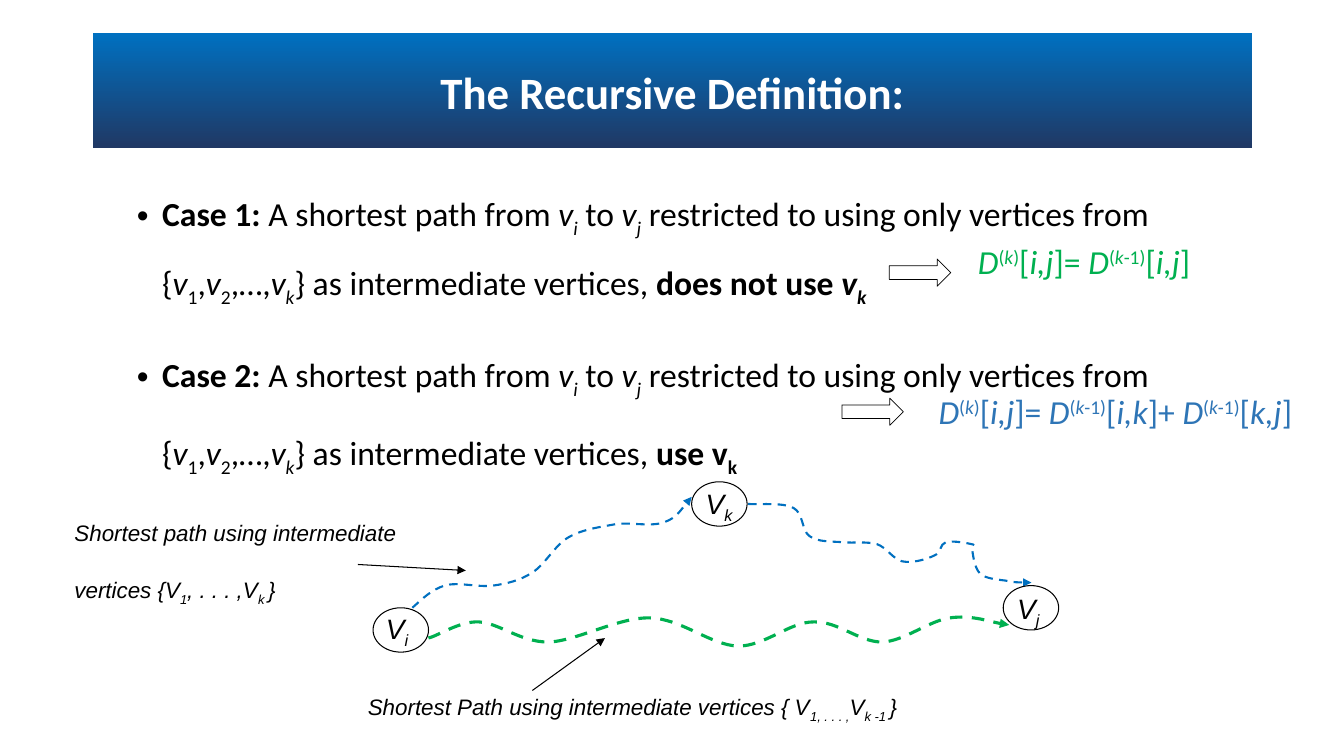
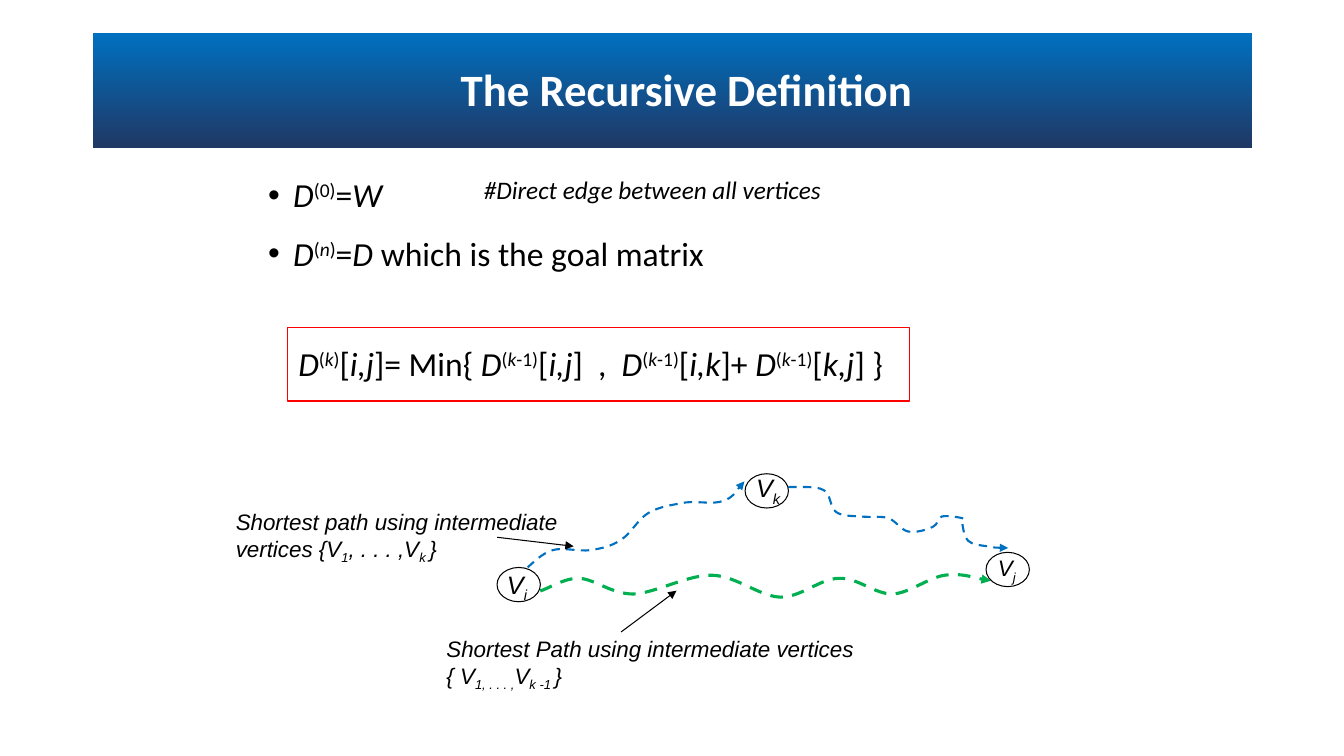
from dataclasses import dataclass

from lxml import etree
from pptx import Presentation
from pptx.dml.color import RGBColor
from pptx.enum.dml import MSO_LINE
from pptx.enum.shapes import MSO_CONNECTOR, MSO_SHAPE
from pptx.enum.text import MSO_ANCHOR, PP_ALIGN
from pptx.oxml.ns import qn
from pptx.util import Pt

PX = 9144  # 100 px to the inch
BLANK_LAYOUT = 6
STRAIGHT = MSO_CONNECTOR.STRAIGHT
DASH = MSO_LINE.DASH
RECTANGLE = MSO_SHAPE.RECTANGLE
OVAL = MSO_SHAPE.OVAL
RIGHT_ARROW = MSO_SHAPE.RIGHT_ARROW
MIDDLE = MSO_ANCHOR.MIDDLE
CENTER = PP_ALIGN.CENTER


@dataclass(frozen=True)
class Theme:
    heading: str = "Calibri"
    label: str = "Arial"
    black: str = "000000"
    white: str = "FFFFFF"
    band_top: str = "0070C0"
    band_bottom: str = "203864"
    detour: str = "0070C0"
    direct: str = "00B050"
    formula_blue: str = "2E75B6"
    red: str = "FF0000"
    title_size: int = 32
    body_size: int = 24
    node_size: int = 20
    small_node_size: int = 18
    note_size: int = 18
    label_size: int = 16


# Cubic curves: a start, then two handles and an end for each segment.
DIRECT_CURVE = [
    (425, 633), (434, 631), (456, 616), (475, 617), (495, 618), (516, 637),
    (544, 637), (572, 636), (614, 612), (645, 613), (676, 614), (705, 640),
    (732, 641), (759, 641), (783, 617), (807, 617), (831, 616), (852, 637),
    (875, 637), (897, 636), (921, 616), (942, 613), (963, 610), (989, 619),
    (1001, 620)]
CURVE_TO_K = [
    (409, 603), (419, 594), (428, 585), (441, 581), (454, 577), (474, 583),
    (489, 581), (503, 579), (516, 576), (528, 568), (541, 560), (550, 541),
    (564, 533), (578, 525), (595, 523), (611, 520), (627, 518), (646, 523),
    (659, 518), (671, 514), (681, 498), (686, 493)]
CURVE_FROM_K = [
    (742, 500), (749, 501), (777, 498), (787, 504), (797, 509), (795, 527),
    (803, 532), (811, 538), (825, 537), (836, 538), (847, 539), (860, 537),
    (870, 540), (879, 543), (886, 555), (895, 557), (905, 559), (919, 555),
    (927, 551), (934, 548), (932, 540), (938, 538), (945, 536), (960, 539),
    (964, 540), (968, 541), (963, 539), (964, 544), (965, 549), (966, 563),
    (972, 569), (977, 574), (989, 575), (997, 576), (1006, 578), (1018, 578),
    (1023, 578)]

# Marks in text: * bold, / italic, _ subscript, ^ superscript.
MARKS = "*/_^"
DETOUR_LABEL = "/Shortest path using intermediate \nvertices {V_1_, . . . ,V_k _}/"
DIRECT_LABEL = "/Shortest Path using intermediate vertices { V_1, . . . ,_V_k -1 _}/"


def case_text(number, ending):
    return (f"*Case {number}:* A shortest path from /v_i_/ to /v_j_/ restricted to "
            "using only vertices from {/v/_1_,/v/_2_,…,/v_k_/} as intermediate "
            f"vertices, *{ending}*")


def matrix(order, cell):
    return f"/D/^({order})^[/{cell}/]"


CURRENT = matrix("/k/", "i,j")
WITHOUT_K = matrix("/k/-1", "i,j")
THROUGH_K = f"{matrix('/k/-1', 'i,k')}+ {matrix('/k/-1', 'k,j')}"


def add_child(parent, tag, **attributes):
    return etree.SubElement(parent, qn(tag), attributes)


class Deck:
    def __init__(self, theme):
        self.theme = theme
        self.file = Presentation()
        self.file.slide_width, self.file.slide_height = 1333 * PX, 750 * PX
        self.shapes = None

    def page(self, title, box):
        """Start a slide with the gradient band and its title."""
        layout = self.file.slide_layouts[BLANK_LAYOUT]
        self.shapes = self.file.slides.add_slide(layout).shapes
        band = self.shape(RECTANGLE, (92, 33, 1150, 114))
        band.line.fill.background()
        band.fill.gradient()
        band.fill.gradient_angle = 270
        ends = (self.theme.band_top, self.theme.band_bottom)
        for stop, color in zip(band.fill.gradient_stops, ends):
            stop.color.rgb = RGBColor.from_string(color)
        frame = self.text(box, f"*{title}*", self.theme.title_size,
                          color=self.theme.white,
                          layout={"alignment": CENTER, "line_spacing": 0.9})
        frame.vertical_anchor = MIDDLE

    def shape(self, kind, box, color=None, width=0.75):
        shape = self.shapes.add_shape(kind, *(length * PX for length in box))
        self.outline(shape, color or self.theme.black, width)
        return shape

    def outline(self, shape, color, width):
        shape.shadow.inherit = False
        shape.fill.background()
        self.stroke(shape.line, color, width)

    def stroke(self, line, color, width):
        line.color.rgb = RGBColor.from_string(color)
        line.width = Pt(width)

    def arrow_tip(self, shape):
        outline = shape._element.spPr.find(qn("a:ln"))
        add_child(outline, "a:tailEnd", type="triangle")

    def arrow(self, start, end):
        arrow = self.shapes.add_connector(
            STRAIGHT, *(length * PX for length in (*start, *end)))
        self.stroke(arrow.line, self.theme.black, 0.75)
        self.arrow_tip(arrow)
        add_child(arrow._element.spPr, "a:effectLst")

    def curve(self, points, color, width):
        """Draw a dashed arrow; each three points after the first are one Bezier segment."""
        start, *rest = [(round(x * PX), round(y * PX)) for x, y in points]
        builder = self.shapes.build_freeform(*start)
        builder.add_line_segments(rest, close=False)
        curve = builder.convert_to_shape()
        corners = list(curve._element.iter(qn("a:lnTo")))
        for first in range(0, len(corners), 3):
            segment = etree.Element(qn("a:cubicBezTo"))
            corners[first].addprevious(segment)
            for corner in corners[first:first + 3]:
                segment.append(corner[0])
                corner.getparent().remove(corner)
        self.outline(curve, color, width)
        curve.line.dash_style = DASH
        self.arrow_tip(curve)

    def text(self, box, words, size, font=None, color=None, layout=None):
        frame = self.shapes.add_textbox(*(length * PX for length in box)).text_frame
        frame.word_wrap = True
        self.fill(frame.paragraphs[0], words, size, font, color, layout)
        return frame

    def fill(self, para, words, size, font=None, color=None, layout=None):
        for name, value in (layout or {}).items():
            setattr(para, name, value)
        active, chunk = set(), ""
        for letter in words + "\0":
            if letter not in MARKS + "\n\0":
                chunk += letter
                continue
            if chunk:
                self.span(para, chunk, active, size, font, color)
                chunk = ""
            if letter == "\n":
                para.add_line_break()
            elif letter in MARKS:
                active ^= {letter}

    def span(self, para, words, active, size, font, color):
        span = para.add_run()
        span.text = words
        values = {"name": font or self.theme.heading, "size": Pt(size),
                  "bold": "*" in active, "italic": "/" in active}
        for name, value in values.items():
            setattr(span.font, name, value)
        span.font.color.rgb = RGBColor.from_string(color or self.theme.black)
        for mark, baseline in (("_", "-25000"), ("^", "30000")):
            if mark in active:
                span._r.get_or_add_rPr().set("baseline", baseline)

    def body(self, box, items):
        """Fill one box from (words, line spacing, space before, indent, bulleted) items."""
        frame = self.text(box, "", self.theme.body_size)
        for index, (words, spacing, before, indent, bulleted) in enumerate(items):
            para = frame.add_paragraph() if index else frame.paragraphs[0]
            self.fill(para, words, self.theme.body_size,
                      layout={"line_spacing": spacing, "space_before": Pt(before)})
            properties = para._p.get_or_add_pPr()
            properties.set("marL", str(indent * PX))
            if bulleted:
                properties.set("indent", str(-indent * PX))
                add_child(properties, "a:buFont", typeface="Arial")
                add_child(properties, "a:buChar", char="•")

    def label(self, box, words):
        self.text(box, words, self.theme.label_size, self.theme.label)

    def graph(self, nodes, node_size, scale=1, shift=(0, 0)):
        """Draw the routes, scaled and shifted, and the (name, oval, text box, size) nodes."""
        theme = self.theme
        for points, color, width in ((DIRECT_CURVE, theme.direct, 2.25),
                                     (CURVE_TO_K, theme.detour, 1.5),
                                     (CURVE_FROM_K, theme.detour, 1.5)):
            moved = [(x * scale + shift[0], y * scale + shift[1]) for x, y in points]
            self.curve(moved, color, width)
        for name, corner, box, size in nodes:
            self.shape(OVAL, (*corner, *node_size))
            self.text(box, f"/V_{name}_/", size, theme.label)


def cases_page(deck):
    theme = deck.theme
    deck.page("The Recursive Definition:", (242, 52, 850, 84))
    deck.body((126, 164, 1065, 311), [
        (case_text(1, "does not use /v_k_/"), 1.5, 10, 25, True),
        (case_text(2, "use v_k_"), 1.7, 10, 25, True)])
    for corner, box, words, color in (
            ((882, 257), (960, 234, 255, 50), f"{CURRENT}= {WITHOUT_K}", theme.direct),
            ((835, 395), (921, 383, 428, 50), f"{CURRENT}= {THROUGH_K}",
             theme.formula_blue)):
        deck.shape(RIGHT_ARROW, (*corner, 61, 27), width=0.5)
        deck.text(box, words, theme.body_size, color=color)
    size = theme.node_size
    deck.graph([("i", (370, 603), (373, 602, 55, 43), size),
                ("k", (686, 478), (690, 478, 63, 43), size),
                ("j", (995, 581), (999, 582, 49, 43), size)], (55, 44))
    deck.label((64, 510, 342, 64), DETOUR_LABEL)
    deck.arrow((355, 560), (462, 566))
    deck.label((355, 683, 562, 37), DIRECT_LABEL)
    deck.arrow((528, 685), (600, 633))


def minimum_page(deck):
    theme = deck.theme
    deck.page("The Recursive Definition", (256, 60, 850, 63))
    minimum = f"{CURRENT}= Min{{ {WITHOUT_K}  ,  {THROUGH_K} }}"
    deck.body((256, 164, 879, 326), [
        ("/D/^(0)^=/W/", 1.1, 10, 25, True),
        ("/D/^(/n/)^=/D/ which is the goal matrix", 1.1, 10, 25, True),
        (minimum, 1.1, 47, 30, False)])
    deck.shape(RECTANGLE, (285, 325, 617, 73), theme.red, 1)
    deck.text((470, 168, 359, 40), "/#Direct edge between all vertices/", theme.note_size)
    size = theme.small_node_size
    deck.graph([("i", (493, 563), (493, 560, 43, 40), size),
                ("k", (739, 470), (740, 464, 49, 40), size),
                ("j", (978, 548), (980, 545, 56, 37), theme.label_size)],
               (43, 34), scale=0.776, shift=(206, 95))
    deck.label((224, 499, 436, 64), DETOUR_LABEL)
    deck.arrow((493, 533), (569, 542))
    deck.label((433, 625, 436, 29), DIRECT_LABEL)
    deck.arrow((616, 627), (671, 586))


def main():
    deck = Deck(Theme())
    cases_page(deck)
    minimum_page(deck)
    deck.file.save("out.pptx")


if __name__ == "__main__":
    main()
